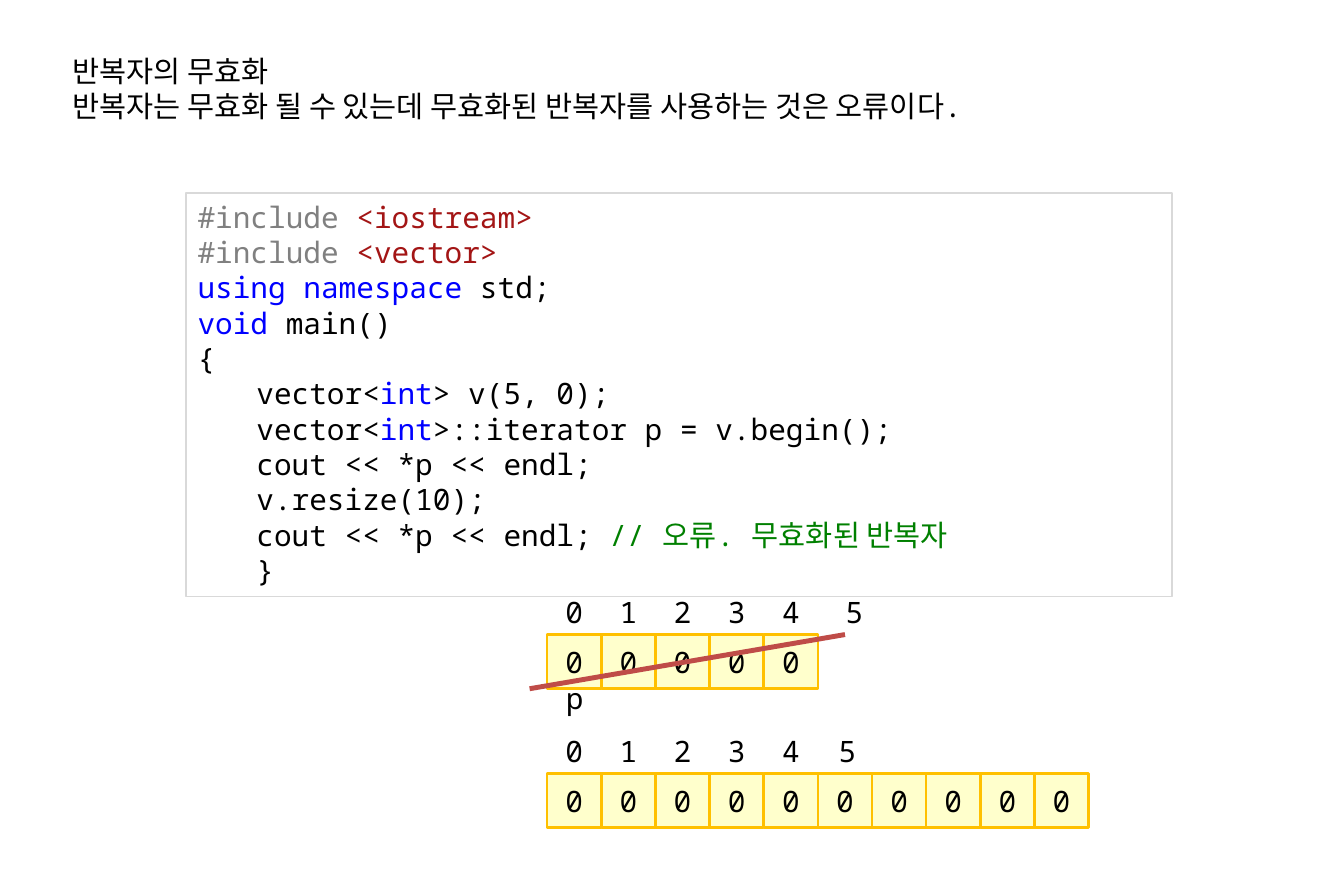
from dataclasses import dataclass

from lxml import etree
from pptx import Presentation
from pptx.dml.color import RGBColor
from pptx.enum.shapes import MSO_CONNECTOR, MSO_SHAPE
from pptx.enum.text import MSO_ANCHOR, MSO_AUTO_SIZE, PP_ALIGN
from pptx.oxml.ns import qn
from pptx.util import Pt

RECT = MSO_SHAPE.RECTANGLE
STRAIGHT = MSO_CONNECTOR.STRAIGHT
MIDDLE = MSO_ANCHOR.MIDDLE
CENTER, LEFT = PP_ALIGN.CENTER, PP_ALIGN.LEFT
GROW = MSO_AUTO_SIZE.SHAPE_TO_FIT_TEXT
PX = 9144


@dataclass(frozen=True)
class Theme:
    font: str = "Noto Sans Mono"
    size: int = 18
    text: str = "000000"
    directive: str = "808080"
    header: str = "A31515"
    keyword: str = "0000FF"
    comment: str = "008000"
    frame: str = "D9D9D9"
    cell_fill: str = "FFFFCC"
    cell_line: str = "FFC000"
    strike: str = "BF4C48"


T = Theme()

TITLE = [
    "반복자의 무효화",
    "반복자는 무효화 될 수 있는데 무효화된 반복자를 사용하는 것은 오류이다.",
]

CODE = [
    (0, [("#include ", T.directive), ("<iostream>", T.header)]),
    (0, [("#include ", T.directive), ("<vector>", T.header)]),
    (0, [("using namespace", T.keyword), (" std;", T.text)]),
    (0, [("void", T.keyword), (" main()", T.text)]),
    (0, [("{", T.text)]),
    (1, [("vector<", T.text), ("int", T.keyword), ("> v(5, 0);", T.text)]),
    (1, [("vector<", T.text), ("int", T.keyword),
         (">::iterator p = v.begin();", T.text)]),
    (1, [("cout << *p << endl;", T.text)]),
    (1, [("v.resize(10);", T.text)]),
    (1, [("cout << *p << endl; ", T.text),
         ("// 오류. 무효화된 반복자", T.comment)]),
    (1, [("}", T.text)]),
]


def px(*lengths):
    return [n * PX for n in lengths]


def style(font, color=T.text):
    font.name = T.font
    font.size = Pt(T.size)
    font.color.rgb = RGBColor.from_string(color)


def set_line(line, color, width):
    line.color.rgb = RGBColor.from_string(color)
    line.width = Pt(width)


def set_insets(tf, side, end):
    tf.margin_left = tf.margin_right = side * PX
    tf.margin_top = tf.margin_bottom = end * PX


def add_note(s, box, lines):
    tf = s.shapes.add_textbox(*px(*box)).text_frame
    tf.word_wrap = False
    tf.auto_size = GROW
    set_insets(tf, 10, 10)
    tf.text = "\n".join(lines)
    for p in tf.paragraphs:
        style(p.runs[0].font)


def add_code(s, box):
    sp = s.shapes.add_shape(RECT, *px(*box))
    sp.shadow.inherit = False
    sp.fill.background()
    set_line(sp.line, T.frame, 0.75)
    tf = sp.text_frame
    tf.word_wrap = True
    tf.auto_size = GROW
    tf.vertical_anchor = MSO_ANCHOR.TOP
    set_insets(tf, 10, 5)
    for i, (level, tokens) in enumerate(CODE):
        p = tf.add_paragraph() if i else tf.paragraphs[0]
        p.alignment = LEFT
        if level:
            p.level = level
            pPr = p._p.get_or_add_pPr()
            pPr.set("marL", str(50 * PX))
            pPr.set("indent", "0")
        for text, color in tokens:
            r = p.add_run()
            r.text = text
            style(r.font, color)


def center_digit(tf, digit):
    tf.word_wrap = True
    tf.vertical_anchor = MIDDLE
    set_insets(tf, 2, 5)
    p = tf.paragraphs[0]
    p.text = str(digit)
    p.alignment = CENTER
    style(p.runs[0].font)


def add_vector(s, box, count, last_shift):
    left, top, width, height = box
    cell = width // count
    for i in range(count):
        sp = s.shapes.add_shape(RECT, *px(left + i * cell, top, cell, height))
        sp.shadow.inherit = False
        sp.fill.solid()
        sp.fill.fore_color.rgb = RGBColor.from_string(T.cell_fill)
        set_line(sp.line, T.cell_line, 1.5)
        center_digit(sp.text_frame, 0)
    for i in range(6):
        x = left + i * cell + (last_shift if i == 5 else 0)
        label = s.shapes.add_textbox(*px(x, top - 42, cell, height))
        center_digit(label.text_frame, i)


def add_strike(s, box):
    left, top, width, height = box
    line = s.shapes.add_connector(
        STRAIGHT, *px(left, top + height, left + width, top))
    set_line(line.line, T.strike, 3)
    etree.SubElement(line._element.spPr, qn("a:effectLst"))


def main():
    prs = Presentation()
    prs.slide_width, prs.slide_height = px(1142, 750)
    s = prs.slides.add_slide(prs.slide_layouts[6])
    add_note(s, (52, 35, 916, 80), TITLE)
    add_code(s, (158, 164, 838, 343))
    add_vector(s, (465, 539, 230, 46), 5, 8)
    add_note(s, (471, 568, 34, 50), ["p"])
    add_vector(s, (465, 657, 460, 46), 10, 2)
    add_strike(s, (450, 539, 268, 46))
    prs.save("out.pptx")


if __name__ == "__main__":
    main()
